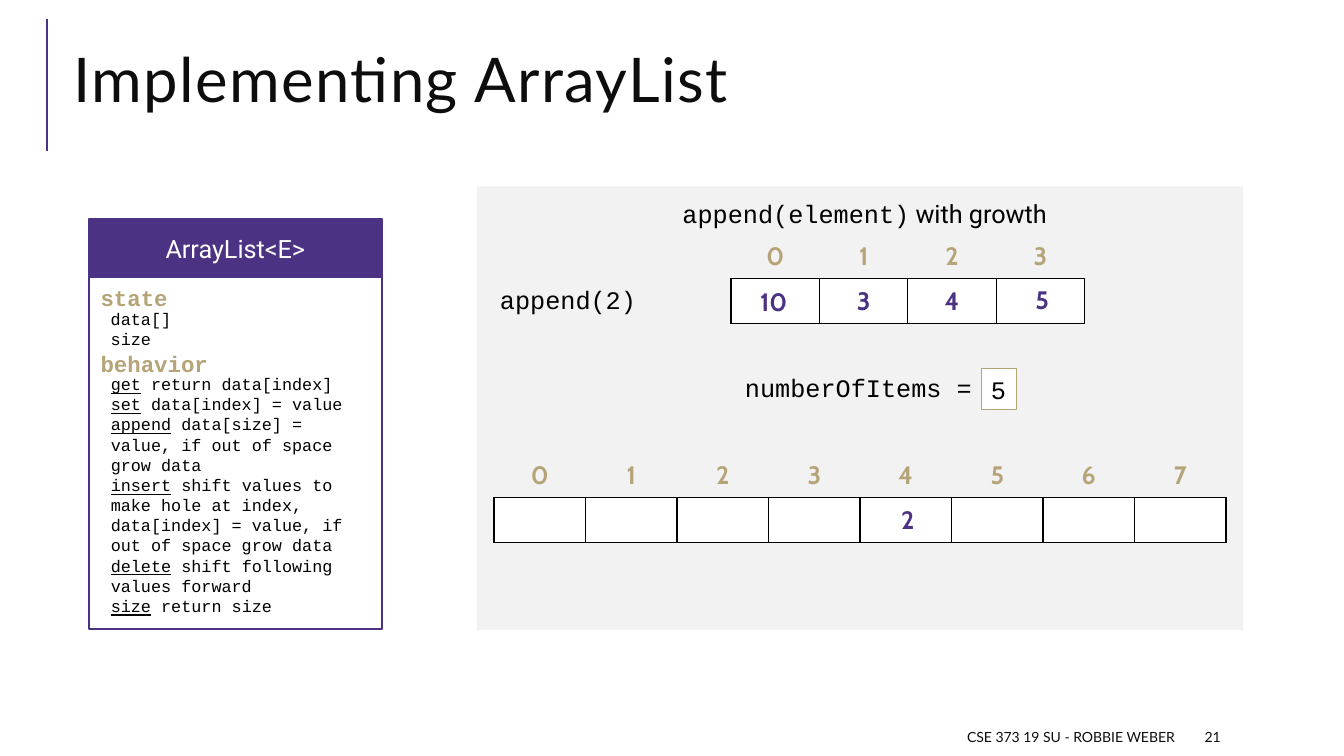
"""Build the slide on appending to an ArrayList that has to grow."""
import pptx
import pptx.util
import pptx.dml.color
import pptx.enum.shapes
import pptx.enum.text
import pptx.oxml
import pptx.oxml.ns

Inches = pptx.util.Inches
Pt = pptx.util.Pt
RGBColor = pptx.dml.color.RGBColor
ALIGN = pptx.enum.text.PP_ALIGN
MIDDLE = pptx.enum.text.MSO_ANCHOR.MIDDLE
TOP = pptx.enum.text.MSO_ANCHOR.TOP

PURPLE = RGBColor(0x4C, 0x32, 0x82)
GOLD = RGBColor(0xB6, 0xA4, 0x79)
INK = RGBColor(0x0D, 0x0D, 0x0D)
BLACK = RGBColor(0, 0, 0)
WHITE = RGBColor(0xFF, 0xFF, 0xFF)
PANEL = RGBColor(0xF2, 0xF2, 0xF2)

CODE = ("Courier New", 18, BLACK)
SMALL_CODE = ("Courier New", 12, BLACK)
SECTION = ("Courier New", 16, GOLD, True)
INDEX = ("Cabin", 18, GOLD, True)
VALUE = ("Cabin", 18, PURPLE, True)
HEADER = ("Roboto", 18, WHITE)
SENTENCE = ("Roboto", 18, BLACK)
FOOTER = ("Lato", 10, INK)
TITLE = ("Lato", 44, INK)


class ArrayListSlide:
    """Hold the presentation, its slide and the drawing methods."""

    def __init__(self):
        self.presentation = pptx.Presentation()
        self.presentation.slide_width = Inches(13.33)
        self.presentation.slide_height = Inches(7.5)
        layout = self.presentation.slide_layouts[5]
        self.slide = self.presentation.slides.add_slide(layout)

    def add_run(self, paragraph, text, style, underline=False):
        """Add one styled run to a paragraph."""
        name, size, color, bold = (*style, False)[:4]
        run = paragraph.add_run()
        run.text = text
        run.font.name = name
        run.font.size = Pt(size)
        run.font.color.rgb = color
        run.font.bold = bold
        if underline:
            run.font.underline = True
        return run

    def fill_frame(self, frame, lines, align, anchor, wrap, grow):
        """Write lines, each a list of runs, into a text frame."""
        frame.word_wrap = wrap
        frame.vertical_anchor = anchor
        sizes = pptx.enum.text.MSO_AUTO_SIZE
        frame.auto_size = sizes.SHAPE_TO_FIT_TEXT if grow else sizes.NONE
        for number, runs in enumerate(lines):
            paragraph = frame.add_paragraph() if number else frame.paragraphs[0]
            paragraph.alignment = align
            for run in runs:
                self.add_run(paragraph, *run)

    def title(self, text, box):
        """Place and format the title placeholder."""
        shape = self.slide.shapes.title
        shape.left, shape.top, shape.width, shape.height = map(Inches, box)
        self.fill_frame(shape.text_frame, [], ALIGN.LEFT, MIDDLE, True, False)
        paragraph = shape.text_frame.paragraphs[0]
        paragraph.alignment = ALIGN.LEFT
        paragraph.line_spacing = 0.8
        run = self.add_run(paragraph, text, TITLE)
        run.font._element.set("spc", "100")

    def text(self, box, lines, align=ALIGN.LEFT, anchor=TOP, wrap=True, grow=True):
        """Add a text box."""
        shape = self.slide.shapes.add_textbox(*map(Inches, box))
        self.fill_frame(shape.text_frame, lines, align, anchor, wrap, grow)

    def rectangle(self, box, fill, line=None, width=1.25, lines=(),
                  align=ALIGN.LEFT, wrap=True):
        """Add a filled rectangle, with text if given."""
        kind = pptx.enum.shapes.MSO_SHAPE.RECTANGLE
        shape = self.slide.shapes.add_shape(kind, *map(Inches, box))
        shape.shadow.inherit = False
        shape.fill.solid()
        shape.fill.fore_color.rgb = fill
        if line is None:
            shape.line.fill.background()
        else:
            shape.line.color.rgb = line
            shape.line.width = Pt(width)
        self.fill_frame(shape.text_frame, lines, align, MIDDLE, wrap, False)

    def line(self, start, end, color, width):
        """Add a straight line."""
        connector = self.slide.shapes.add_connector(
            pptx.enum.shapes.MSO_CONNECTOR.STRAIGHT, *map(Inches, start + end))
        connector.line.color.rgb = color
        connector.line.width = Pt(width)
        properties = connector._element.spPr
        properties.append(pptx.oxml.parse_xml(
            f"<a:effectLst {pptx.oxml.ns.nsdecls('a')}/>"))

    def borders(self, cell, drawn):
        """Draw the named cell sides in black and clear the others."""
        properties = cell._tc.get_or_add_tcPr()
        for position, side in enumerate("LRTB"):
            paint = (f'<a:solidFill><a:srgbClr val="{BLACK}"/></a:solidFill>'
                     if side in drawn else "<a:noFill/>")
            properties.insert(position, pptx.oxml.parse_xml(
                f"<a:ln{side} {pptx.oxml.ns.nsdecls('a')} w=\"12700\">"
                f"{paint}</a:ln{side}>"))

    def array(self, left, top, width, count):
        """Add an array as a row of indices above a row of empty cells."""
        row_height = 0.445
        table = self.slide.shapes.add_table(
            2, count, Inches(left), Inches(top),
            Inches(width), Inches(2 * row_height)).table
        table.first_row = False
        table.horz_banding = False
        for row in table.rows:
            row.height = Inches(row_height)
        for index, column in enumerate(table.columns):
            column.width = Inches(width / count)
            label, slot = table.cell(0, index), table.cell(1, index)
            label.fill.background()
            label.vertical_anchor = MIDDLE
            paragraph = label.text_frame.paragraphs[0]
            paragraph.alignment = ALIGN.CENTER
            self.add_run(paragraph, str(index), INDEX)
            self.borders(label, "B")
            slot.fill.solid()
            slot.fill.fore_color.rgb = WHITE
            self.borders(slot, "LRTB")

    def save(self):
        """Save the presentation."""
        self.presentation.save("out.pptx")


BEHAVIORS = [
    ("get", " return data[index]"),
    ("set", " data[index] = value"),
    ("append", " data[size] = value, if out of space grow data"),
    ("insert", " shift values to make hole at index, "
               "data[index] = value, if out of space grow data"),
    ("delete", " shift following values forward"),
    ("size", " return size"),
]


def main():
    """Draw every element and save."""
    page = ArrayListSlide()
    page.line((0.47, 1.5), (0.47, 0.19), PURPLE, 1.5)
    page.title("Implementing ArrayList", (0.63, 0.29, 12.23, 1.11))
    page.text((5.3, 7.16, 6.45, 0.3), [[("CSE 373 19 SU - ROBBIE WEBER", FOOTER)]],
              ALIGN.RIGHT, MIDDLE, grow=False)
    page.text((11.85, 7.16, 1.06, 0.3), [[("21", FOOTER)]], anchor=MIDDLE, grow=False)

    page.rectangle((0.88, 2.75, 2.91, 3.49), WHITE, PURPLE)
    page.rectangle((0.88, 2.17, 2.91, 0.58), PURPLE, PURPLE,
                   lines=[[("ArrayList<E>", HEADER)]], align=ALIGN.CENTER)
    page.text((0.9, 2.77, 2.23, 0.37), [[("state", SECTION)]])
    page.text((1, 3.01, 2.23, 0.5), [[(field, SMALL_CODE)] for field in ("data[]", "size")])
    page.text((0.9, 3.42, 2.23, 0.37), [[("behavior", SECTION)]])
    page.text((1, 3.66, 2.79, 2.73),
              [[(name, SMALL_CODE, True), (action, SMALL_CODE)] for name, action in BEHAVIORS])

    page.rectangle((4.73, 1.85, 7.6, 4.4), PANEL)
    page.text((6.67, 1.92, 3.86, 0.4),
              [[("append(element)", CODE), (" with growth", SENTENCE)]], wrap=False)
    page.text((4.86, 2.77, 2.26, 0.4), [[("append(2)", CODE)]])
    page.array(7.25, 2.32, 3.51, 4)
    for value, left, top, width in (("10", 7.44, 2.79, 0.47), ("3", 8.4, 2.78, 0.34),
                                    ("4", 9.27, 2.78, 0.34), ("5", 10.17, 2.77, 0.34)):
        page.text((left, top, width, 0.4), [[(value, VALUE)]], wrap=False)

    page.text((7.29, 3.64, 2.61, 0.4), [[("numberOfItems =", CODE)]], wrap=False)
    page.rectangle((9.73, 3.66, 0.35, 0.4), WHITE, GOLD, 0.75, [[("5", CODE)]], wrap=False)
    page.array(4.9, 4.49, 7.26, 8)
    page.rectangle((8.84, 4.95, 0.34, 0.4), WHITE, lines=[[("2", VALUE)]], wrap=False)
    page.save()


if __name__ == "__main__":
    main()
